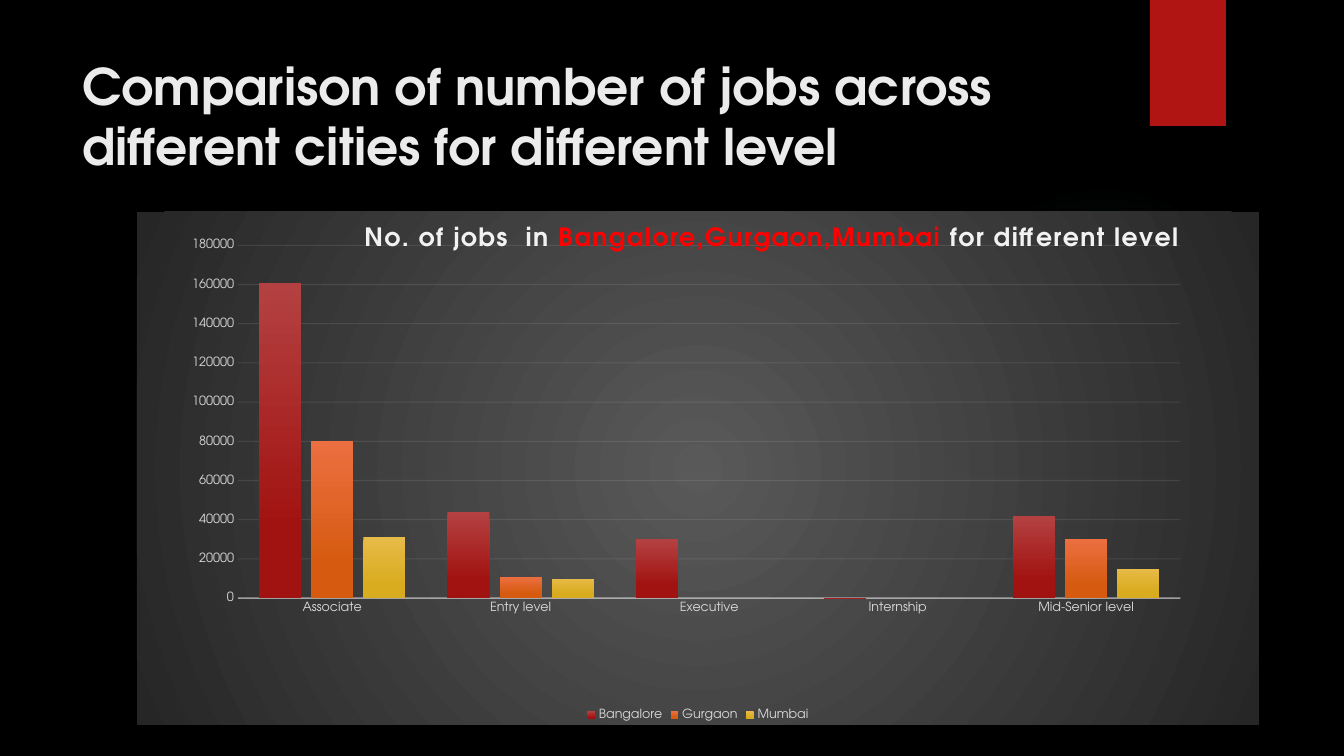
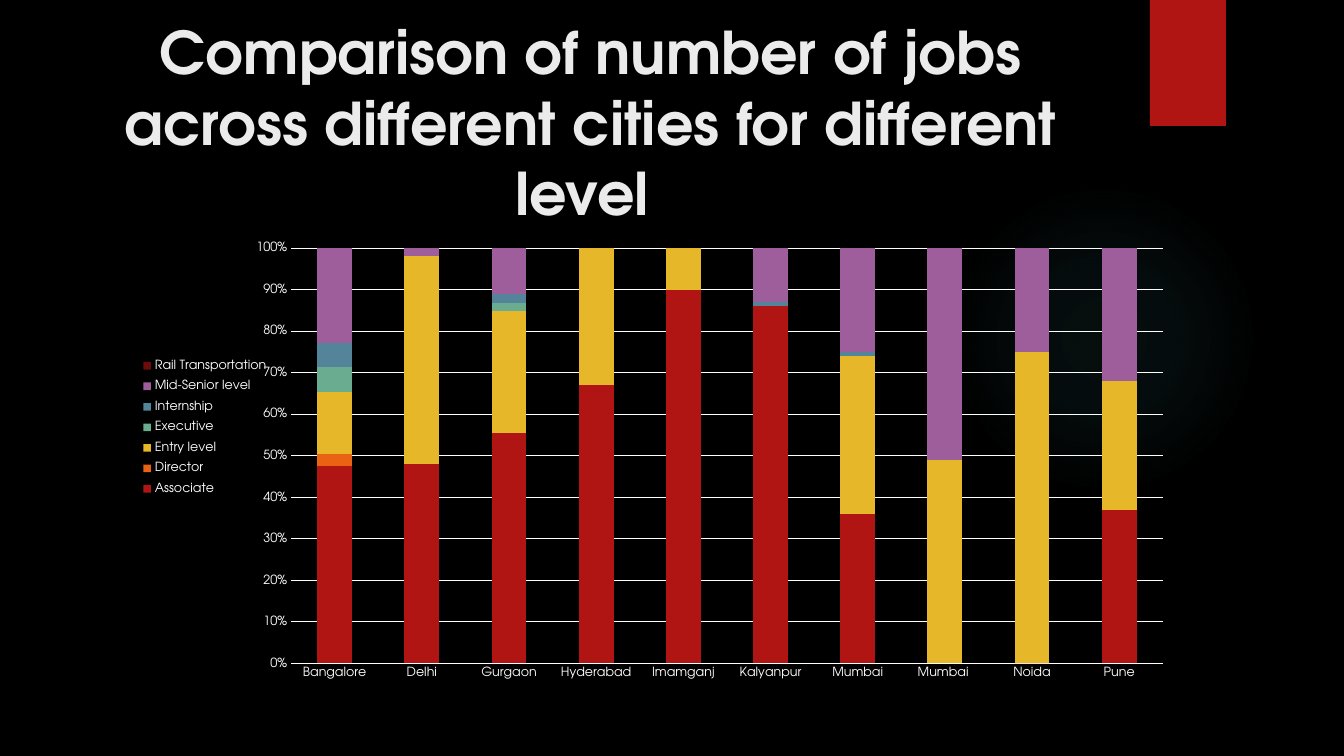
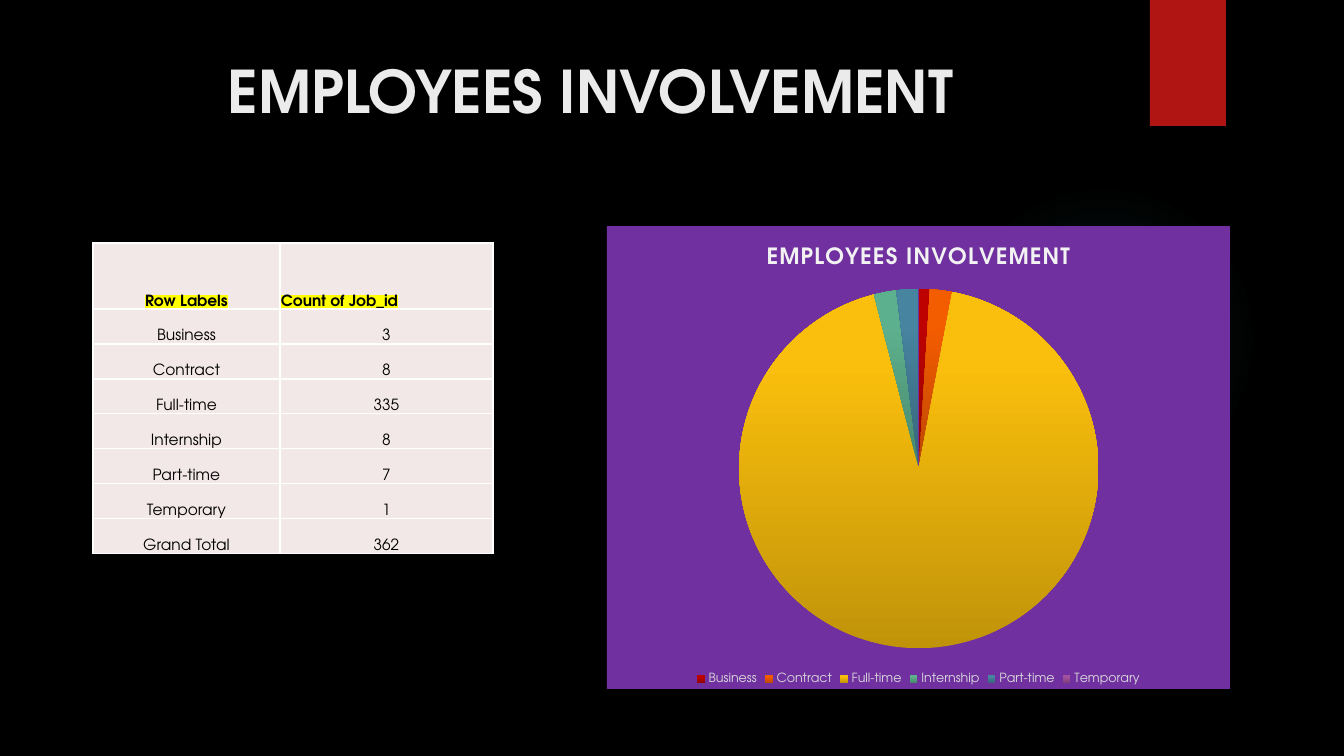
from lxml import etree
from pptx import Presentation
from pptx.chart.data import CategoryChartData
from pptx.dml.color import RGBColor
from pptx.enum.chart import XL_CHART_TYPE as ChartType
from pptx.enum.chart import XL_LEGEND_POSITION as LegendPosition
from pptx.enum.chart import XL_TICK_MARK as TickMark
from pptx.enum.shapes import MSO_SHAPE as Preset
from pptx.enum.text import MSO_ANCHOR as Anchor
from pptx.enum.text import MSO_AUTO_SIZE as AutoSize
from pptx.enum.text import PP_ALIGN as Align
from pptx.oxml import parse_xml
from pptx.oxml.ns import nsdecls, qn
from pptx.util import Emu, Pt

EMU_PER_PX = 12192000 / 1344
FONT = "TeX Gyre Adventor"
COLORS = {
    "background": "000000", "title": "EBEBEB", "bookmark": "B01513", "glow": "50B9C1",
    "white": "FFFFFF", "soft white": "F2F2F2", "label": "D9D9D9", "accent": "FF0000",
    "chart light": "595959", "chart dark": "262626", "purple": "7030A0",
    "cell": "F2E8E7", "ink": "000000", "marker": "FFFF00",
}
COLUMN_GRADIENTS = [("B44141", "A11311"), ("EB6F40", "D65B10"), ("E7BB48", "D9AB1F")]
STACK_FILLS = ["B01513", "EA6312", "E6B729", "6AAC90", "54849A", "9E5E9B", "6A0D0B"]
SLICE_GRADIENTS = [("920200", "BD0200"), ("BC4700", "F45C00"), ("C19309", "FABF0C"),
                   ("48886D", "5DB08D"), ("37657B", "47849F"), ("7D3F7A", "A2529F")]


# Basics
def px(length):
    return Emu(round(length * EMU_PER_PX))


def rgb(name):
    return RGBColor.from_string(COLORS.get(name, name))


def style_font(font, size, color, bold=False):
    font.name, font.size, font.bold = FONT, Pt(size), bold
    font.color.rgb = rgb(color)


def solid_xml(color):
    return f'<a:solidFill {nsdecls("a")}><a:srgbClr val="{COLORS[color]}"/></a:solidFill>'


def radial_xml(stops):
    """Stops are (position %, colour name, opacity %)."""
    marks = "".join(
        f'<a:gs pos="{place * 1000}"><a:srgbClr val="{COLORS[color]}">'
        f'<a:alpha val="{opacity * 1000}"/></a:srgbClr></a:gs>'
        for place, color, opacity in stops)
    return (f'<a:gradFill {nsdecls("a")} rotWithShape="1"><a:gsLst>{marks}</a:gsLst>'
            '<a:path path="circle"><a:fillToRect l="50000" t="50000" r="50000" b="50000"/>'
            '</a:path></a:gradFill>')


def linear_fill(fill, colors, last, angle):
    fill.gradient()
    fill.gradient_angle = angle
    for stop, color, position in zip(fill.gradient_stops, colors, (0, last)):
        stop.color.rgb = rgb(color)
        stop.position = position


def add_alpha(element, percent):
    for color in element.iter(qn("a:srgbClr")):
        etree.SubElement(color, qn("a:alpha")).set("val", str(percent * 1000))


# Shared look
def dress_layout(layout, page):
    """Give the layout its background, glow and bookmark, drawn by way of a page."""
    layout.background.fill.solid()
    layout.background.fill.fore_color.rgb = rgb("background")
    glow = page.shapes.add_shape(Preset.OVAL, px(949), px(184), px(310), px(310))
    glow.fill.background()
    glow.element.spPr.replace(
        glow.element.spPr.find(qn("a:noFill")),
        parse_xml(radial_xml([(0, "glow", 7), (36, "glow", 6), (69, "glow", 0)])))
    bookmark = page.shapes.add_shape(Preset.RECTANGLE, px(1150), 0, px(76), px(126))
    bookmark.fill.solid()
    bookmark.fill.fore_color.rgb = rgb("bookmark")
    for number, shape in enumerate((glow, bookmark), start=100):
        shape.line.fill.background()
        shape.shadow.inherit = False
        shape.element.nvSpPr.cNvPr.id = number
        layout.shapes.element.append(shape.element)


def set_title(page, text, top, height, size, align=Align.CENTER):
    title = page.shapes.title
    title.left, title.top, title.width, title.height = px(72), px(top), px(1037), px(height)
    frame = title.text_frame
    frame.text = text
    frame.word_wrap, frame.auto_size = True, AutoSize.NONE
    frame.vertical_anchor = Anchor.TOP
    para = frame.paragraphs[0]
    para.alignment = align
    style_font(para.font, size, "title", bold=True)


# Charts
def add_chart(page, kind, box, categories, series):
    data = CategoryChartData()
    data.categories = categories
    for name, values in series:
        data.add_series(name, values)
    chart = page.shapes.add_chart(kind, *map(px, box), data).chart
    style_font(chart.font, 10, "white")
    chart.has_title = False
    return chart


def fill_chart(chart, fill_xml):
    area = parse_xml(f'<c:spPr {nsdecls("c", "a")}>{fill_xml}<a:ln><a:noFill/></a:ln></c:spPr>')
    chart.element.find(qn("c:chart")).addnext(area)


def set_layout(element, index, inner=False, **fractions):
    """Place a chart part by fractions of the chart: x, y and perhaps w, h."""
    old = element.find(qn("c:layout"))
    if old is not None:
        element.remove(old)
    target = '<c:layoutTarget val="inner"/>' if inner else ""
    modes = "".join(f'<c:{key}Mode val="edge"/>' for key in "xy")
    sizes = "".join(f'<c:{key} val="{value}"/>' for key, value in fractions.items())
    element.insert(index, parse_xml(
        f'<c:layout {nsdecls("c")}><c:manualLayout>{target}{modes}{sizes}'
        '</c:manualLayout></c:layout>'))


def place_plot(chart, x, y, w, h):
    set_layout(chart.element.find(".//" + qn("c:plotArea")), 0, inner=True, x=x, y=y, w=w, h=h)


def add_legend(chart, position, color):
    chart.has_legend = True
    chart.legend.position = position
    chart.legend.include_in_layout = False
    style_font(chart.legend.font, 9, color)


def add_chart_title(chart, spans, size):
    chart.has_title = True
    para = chart.chart_title.text_frame.paragraphs[0]
    style_font(para.font, size, "soft white", bold=True)
    for text, color in spans:
        span = para.add_run()
        span.text = text
        span.font.color.rgb = rgb(color)
    title = chart.element.find(".//" + qn("c:title"))
    for tag in ("a:defRPr", "a:rPr"):
        for props in title.iter(qn(tag)):
            props.set("spc", "100")
    return title


def style_axes(chart, label_color, line_color, line_width):
    for axis in (chart.category_axis, chart.value_axis):
        axis.major_tick_mark = axis.minor_tick_mark = TickMark.NONE
        style_font(axis.tick_labels.font, 9, label_color)
    chart.value_axis.format.line.fill.background()
    chart.value_axis.has_major_gridlines = True
    grid = chart.value_axis.major_gridlines.format.line
    for line, width in ((chart.category_axis.format.line, line_width), (grid, 0.75)):
        line.color.rgb = rgb(line_color)
        line.width = Pt(width)


# Table
def format_cell(cell, text, header, align):
    cell.fill.solid()
    cell.fill.fore_color.rgb = rgb("cell")
    cell.vertical_anchor = Anchor.BOTTOM
    cell.margin_left = cell.margin_right = cell.margin_top = px(1)
    cell.margin_bottom = 0
    para = cell.text_frame.paragraphs[0]
    para.alignment = align
    style_font(para.font, 11, "ink", bold=header)
    span = para.add_run()
    span.text = text
    if header:
        props = span.font.color  # makes the run properties
        props = span.font
        props.bold = True
        mark = parse_xml(f'<a:highlight {nsdecls("a")}><a:srgbClr val="{COLORS["marker"]}"/>'
                         '</a:highlight>')
        cell.text_frame._txBody.find(".//" + qn("a:rPr")).append(mark)
    # Borders come before the fill
    for index, side in enumerate(("lnL", "lnR", "lnT", "lnB")):
        cell._tc.tcPr.insert(index, parse_xml(
            f'<a:{side} {nsdecls("a")} w="12700">{solid_xml("white")}</a:{side}>'))


def add_table(page, left, top, widths, heights, rows):
    table = page.shapes.add_table(len(rows), len(widths), px(left), px(top),
                                  px(sum(widths)), px(sum(heights))).table
    table.first_row = table.horz_banding = False
    for column, width in zip(table.columns, widths):
        column.width = px(width)
    for row, height in zip(table.rows, heights):
        row.height = px(height)
    for r, texts in enumerate(rows):
        for c, text in enumerate(texts):
            align = Align.LEFT if (r, c) == (0, 1) else Align.CENTER
            format_cell(table.cell(r, c), text, r == 0, align)


# Slides
def build_level_columns(page):
    set_title(page, "Comparison of number of jobs across different cities for different level",
              50, 154, 36, Align.LEFT)
    chart = add_chart(
        page, ChartType.COLUMN_CLUSTERED, (137, 212, 1122, 513),
        ["Associate", "Entry level", "Executive", "Internship", "Mid-Senior level"],
        [("Bangalore", [161000, 44000, 30000, 0, 42000]),
         ("Gurgaon", [80000, 11000, None, None, 30000]),
         ("Mumbai", [31000, 10000, None, None, 15000])])
    fill_chart(chart, radial_xml([(0, "chart light", 100), (100, "chart dark", 100)]))
    plot = chart.plots[0]
    plot.gap_width, plot.overlap, plot.vary_by_categories = 100, -24, False
    for series, colors in zip(plot.series, COLUMN_GRADIENTS):
        linear_fill(series.format.fill, colors, 0.78, 270)
    style_axes(chart, "label", "soft white", 1)
    add_alpha(chart.element.find(f'.//{qn("c:catAx")}/{qn("c:spPr")}'), 54)
    add_alpha(chart.element.find(".//" + qn("c:majorGridlines")), 10)
    chart.value_axis.maximum_scale, chart.value_axis.major_unit = 180000, 20000
    chart.value_axis.minimum_scale = 0
    add_legend(chart, LegendPosition.BOTTOM, "label")
    title = add_chart_title(chart, [("No. of jobs  in ", "soft white"),
                                    ("Bangalore,Gurgaon,Mumbai", "accent"),
                                    (" for different level ", "soft white")], 18)
    set_layout(title, 1, x=0.2, y=0.02)
    chart.chart_title.include_in_layout = True
    place_plot(chart, 0.09, 0.065, 0.84, 0.688)


def build_city_stack(page):
    set_title(page, "Comparison of number of jobs across different cities for different level ",
              11, 193, 42)
    gap = None
    chart = add_chart(
        page, ChartType.COLUMN_STACKED_100, (122, 226, 1105, 463),
        ["Bangalore", "Delhi", "Gurgaon", "Hyderabad", "Imamganj", "Kalyanpur",
         "Mumbai", "Mumbai ", "Noida", "Pune"],
        [("Associate", [48, 48, 55, 67, 90, 86, 36, gap, 0, 37]),
         ("Director", [3] + [gap] * 9),
         ("Entry level", [15, 50, 29, 33, 10, 0, 38, 49, 75, 31]),
         ("Executive", [6, gap, 2, gap, gap, 0] + [gap] * 4),
         ("Internship", [6, gap, 2, gap, gap, 1, 1] + [gap] * 3),
         ("Mid-Senior level", [23, 2, 11, gap, gap, 13, 25, 51, 25, 32]),
         ("Rail Transportation", [0] + [gap] * 9)])
    plot = chart.plots[0]
    plot.gap_width, plot.overlap, plot.vary_by_categories = 150, 100, False
    for series, color in zip(plot.series, STACK_FILLS):
        series.format.fill.solid()
        series.format.fill.fore_color.rgb = rgb(color)
    style_axes(chart, "white", "white", 0.75)
    chart.value_axis.tick_labels.number_format = "0%"
    chart.value_axis.tick_labels.number_format_is_linked = False
    add_legend(chart, LegendPosition.RIGHT, "white")
    set_layout(chart.legend._element, 1, x=0.01, y=0.27, w=0.13, h=0.33)
    place_plot(chart, 0.153, 0.048, 0.789, 0.897)


def build_involvement(page):
    heading = "EMPLOYEES INVOLVEMENT"
    set_title(page, heading, 50, 87, 42)
    chart = add_chart(
        page, ChartType.PIE, (607, 226, 623, 463),
        ["Business", "Contract", "Full-time", "Internship", "Part-time", "Temporary"],
        [("Series 1", [1, 2, 93, 2, 2, 0])])
    fill_chart(chart, solid_xml("purple"))
    plot = chart.plots[0]
    plot.vary_by_categories = True
    for index, colors in enumerate(SLICE_GRADIENTS):
        linear_fill(plot.series[0].points[index].format.fill, colors, 0.8, 90)
    add_legend(chart, LegendPosition.BOTTOM, "label")
    add_chart_title(chart, [(heading, "soft white")], 16)
    place_plot(chart, 0.212, 0.136, 0.577, 0.776)
    rows = [("Row Labels", "Count of Job_id"), ("Business", "3"), ("Contract", "8"),
            ("Full-time", "335"), ("Internship", "8"), ("Part-time", "7"),
            ("Temporary", "1"), ("Grand Total", "362")]
    add_table(page, 93, 243, [187, 213], [66] + [35] * 7, rows)


def main():
    deck = Presentation()
    deck.slide_width, deck.slide_height = px(1344), px(756)
    layout = deck.slide_layouts.get_by_name("Title Only")
    builders = (build_level_columns, build_city_stack, build_involvement)
    pages = [deck.slides.add_slide(layout) for _ in builders]
    dress_layout(layout, pages[0])
    for build, page in zip(builders, pages):
        build(page)
    deck.save("out.pptx")


if __name__ == "__main__":
    main()
